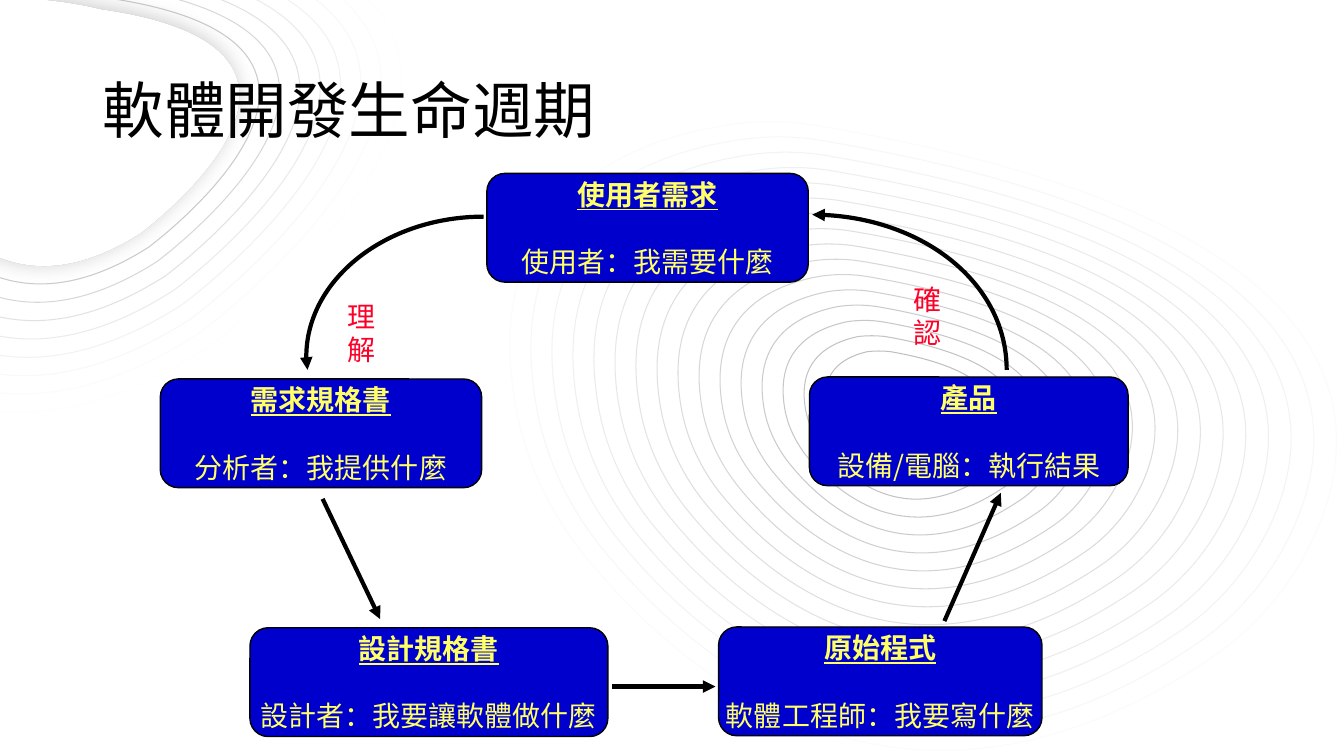
from lxml import etree
from pptx import Presentation
from pptx import util as u
from pptx.dml.color import RGBColor
from pptx.enum import shapes, text
from pptx.oxml import parse_xml
from pptx.oxml.ns import nsdecls, qn

FONT = "Noto Sans CJK SC"
LINE_PITCH = u.Pt(24)

# Closed outlines as cubic Bezier points in cm: start, then two handles and an end
CORNER_OUTER = [(3.3, -2.24), (3.3, -2.24), (-9.14, -5.44), (-6.78, 3.68),
                (-6.78, 3.68), (-3.53, 14.38), (5.23, 8.76),
                (5.23, 8.76), (17.42, -0.25), (3.3, -2.24)]
CORNER_INNER = [(2.54, 0.25), (2.54, 0.25), (-3.81, -1.4), (-2.62, 3.28),
                (-2.62, 3.28), (-0.94, 8.71), (3.53, 5.87),
                (3.53, 5.87), (9.75, 1.27), (2.54, 0.25)]
RIPPLE_INNER = [(21.87, 8.86), (21.39, 8.97), (20.62, 9.27), (20.83, 10.36),
                (20.88, 10.62), (21.01, 10.87), (21.16, 11.07),
                (21.62, 11.66), (22.78, 12.75), (24.43, 11.66),
                (24.69, 11.51), (24.87, 11.28), (24.99, 11.02),
                (25.27, 10.39), (25.27, 9.35), (22.43, 8.86),
                (22.25, 8.84), (22.05, 8.84), (21.87, 8.86)]
RIPPLE_OUTER = [(18.06, 3.2), (15.72, 3.61), (11.99, 5.11), (13.03, 10.41),
                (13.28, 11.66), (13.84, 12.85), (14.63, 13.87),
                (16.87, 16.69), (22.48, 21.95), (30.48, 16.61),
                (31.62, 15.85), (32.54, 14.78), (33.12, 13.51),
                (34.47, 10.57), (34.42, 5.54), (20.8, 3.2),
                (19.89, 3.02), (18.97, 3.02), (18.06, 3.2)]

STAGES = [
    (12.27, 4.37, 8.1, "使用者需求", "使用者：我需要什麼"),
    (4.04, 9.55, 8.1, "需求規格書", "分析者：我提供什麼"),
    (6.3, 15.82, 9.02, "設計規格書", "設計者：我要讓軟體做什麼"),
    (18.11, 15.8, 8.15, "原始程式", "軟體工程師：我要寫什麼"),
    (20.4, 9.5, 8.03, "產品", "設備/電腦：執行結果"),
]
STEPS = [(8.13, 12.57, 9.58, 15.6), (15.42, 17.3, 18.03, 17.3),
         (23.8, 15.65, 25.22, 12.42)]
UNDERSTAND_ARC = [(12.19, 5.46), (9.73, 5.46), (7.72, 7.04), (7.72, 8.99),
                  (7.72, 9.09), (7.72, 9.21), (7.75, 9.32)]
CONFIRM_ARC = [(25.37, 9.32), (25.37, 7.16), (23.16, 5.41), (20.47, 5.41)]


def rgb(value):
    return RGBColor.from_string(value)


def style_run(run, size, color, bold=None, underline=None):
    font = run.font
    font.name, font.size = FONT, u.Pt(size)
    font.bold, font.underline = bold, underline
    font.color.rgb = rgb(color)
    latin = run._r.rPr.find(qn("a:latin"))
    latin.addnext(etree.Element(qn("a:ea"), typeface=FONT))


def style_line(line, color, width):
    line.color.rgb = rgb(color)
    line.width = u.Pt(width)


def add_arrowhead(line):
    etree.SubElement(line._get_or_add_ln(), qn("a:tailEnd"), type="triangle")


def set_opacity(line, percent):
    color = line._get_or_add_ln().find(".//" + qn("a:srgbClr"))
    etree.SubElement(color, qn("a:alpha"), val=str(round(percent * 1000)))


def add_glow(shape, color, opacity, blur, distance=0, angle=0):
    """Give the shape a soft outer shadow; lengths are points."""
    effects = shape._element.spPr.find(qn("a:effectLst"))
    effects.append(parse_xml(
        f'<a:outerShdw {nsdecls("a")} blurRad="{u.Pt(blur)}" dist="{u.Pt(distance)}" '
        f'dir="{angle * 60000}" algn="ctr" rotWithShape="0"><a:srgbClr val="{color}">'
        f'<a:alpha val="{opacity * 1000}"/></a:srgbClr></a:outerShdw>'))


def curve_bounds(points, steps=30):
    """Return left, top, right and bottom of a chain of cubic Bezier curves."""
    track = [points[0]]
    for first in range(0, len(points) - 1, 3):
        a, b, c, d = points[first:first + 4]
        for step in range(1, steps + 1):
            t = step / steps
            s = 1 - t
            track.append(tuple(s**3 * a[i] + 3 * s * s * t * b[i] + 3 * s * t * t * c[i]
                               + t**3 * d[i] for i in (0, 1)))
    xs, ys = zip(*track)
    return [u.Cm(edge) for edge in (min(xs), min(ys), max(xs), max(ys))]


def add_curve(slide, points, color, width, closed=False):
    """Frame a freeform by the bounds of the curve, then give it Bezier segments."""
    left, top, right, bottom = curve_bounds(points)
    builder = slide.shapes.build_freeform(left, top)
    builder.add_line_segments([(right, bottom)], close=False)
    curve = builder.convert_to_shape()
    outline = curve._element.spPr.find(".//" + qn("a:path"))
    for segment in list(outline):
        outline.remove(segment)
    for index, (x, y) in enumerate(points):
        if index == 0:
            segment = etree.SubElement(outline, qn("a:moveTo"))
        elif index % 3 == 1:
            segment = etree.SubElement(outline, qn("a:cubicBezTo"))
        etree.SubElement(segment, qn("a:pt"), x=str(u.Cm(x) - left), y=str(u.Cm(y) - top))
    if closed:
        etree.SubElement(outline, qn("a:close"))
    curve.shadow.inherit = False
    curve.fill.background()
    style_line(curve.line, color, width)
    return curve


def blend(start, end, share):
    return [tuple(p + (q - p) * share for p, q in zip(a, b)) for a, b in zip(start, end)]


def add_corner_rings(slide):
    count = 9
    for index in range(count):
        share = index / (count - 1)
        gray = round(0xF8 + (0xBF - 0xF8) * share)
        ring = add_curve(slide, blend(CORNER_OUTER, CORNER_INNER, share),
                         f"{gray:02X}" * 3, 0.75, closed=True)
        set_opacity(ring.line, 100 * (index + 1) / count)
        add_glow(ring, "323232", 10, 50)
    core = add_curve(slide, CORNER_INNER, "FFFFFF", 0.75, closed=True)
    core.fill.solid()
    core.fill.fore_color.rgb = rgb("FFFFFF")
    add_glow(core, "000000", 20, 15, 3, 225)


def add_ripples(slide):
    count = 16
    for index in range(count):
        add_curve(slide, blend(RIPPLE_INNER, RIPPLE_OUTER, index / (count - 1)),
                  f"{0xBF + 4 * index:02X}" * 3, 0.75, closed=True)


def set_margins(frame):
    frame.margin_left = frame.margin_right = u.Cm(0.4)
    frame.margin_top = frame.margin_bottom = u.Cm(0.2)


def add_stage(slide, left, top, width, document, question):
    stage = slide.shapes.add_shape(shapes.MSO_SHAPE.ROUNDED_RECTANGLE, u.Cm(left),
                                   u.Cm(top), u.Cm(width), u.Cm(2.74))
    stage.shadow.inherit = False
    stage.fill.solid()
    stage.fill.fore_color.rgb = rgb("0000CC")
    style_line(stage.line, "000000", 1)
    frame = stage.text_frame
    set_margins(frame)
    frame.word_wrap = False
    frame.vertical_anchor = text.MSO_ANCHOR.MIDDLE
    frame.text = f"{document}\n{question}"
    for paragraph, heading in zip(frame.paragraphs, (True, False)):
        paragraph.alignment = text.PP_ALIGN.CENTER
        paragraph.line_spacing = LINE_PITCH
        style_run(paragraph.runs[0], 20, "FFFF66", heading, heading)
    frame.paragraphs[1].space_before = LINE_PITCH


def add_step(slide, x1, y1, x2, y2):
    step = slide.shapes.add_connector(shapes.MSO_CONNECTOR.STRAIGHT, u.Cm(x1), u.Cm(y1),
                                      u.Cm(x2), u.Cm(y2))
    style_line(step.line, "000000", 3)
    add_arrowhead(step.line)
    etree.SubElement(step._element.spPr, qn("a:effectLst"))


def add_arc_label(slide, left, top, wording):
    """Add a label so narrow that its characters stack."""
    label = slide.shapes.add_textbox(u.Cm(left), u.Cm(top), u.Cm(1.6), u.Cm(2.1))
    frame = label.text_frame
    set_margins(frame)
    frame.word_wrap = True
    frame.text = wording
    frame.paragraphs[0].line_spacing = LINE_PITCH
    style_run(frame.paragraphs[0].runs[0], 20, "FC0128")


def set_title(slide, wording):
    title = slide.shapes.title
    title.left, title.top, title.width, title.height = (
        u.Cm(2.33), u.Cm(1.01), u.Cm(29.21), u.Cm(3.68))
    frame = title.text_frame
    frame.text = wording
    frame.vertical_anchor = text.MSO_ANCHOR.MIDDLE
    heading = frame.paragraphs[0]
    heading.alignment = text.PP_ALIGN.LEFT
    heading.line_spacing = 0.9
    style_run(heading.runs[0], 44, "000000")
    slide.shapes._spTree.append(title._element)


def main():
    deck = Presentation()
    deck.slide_width, deck.slide_height = u.Cm(33.87), u.Cm(19.05)
    slide = deck.slides.add_slide(deck.slide_layouts[5])
    add_corner_rings(slide)
    add_ripples(slide)
    set_title(slide, "軟體開發生命週期")
    for stage in STAGES:
        add_stage(slide, *stage)
    for arc in (UNDERSTAND_ARC, CONFIRM_ARC):
        add_arrowhead(add_curve(slide, arc, "000000", 3).line)
    for step in STEPS:
        add_step(slide, *step)
    add_arc_label(slide, 8.36, 7.34, "理解")
    add_arc_label(slide, 22.61, 6.91, "確認")
    deck.save("out.pptx")


if __name__ == "__main__":
    main()
